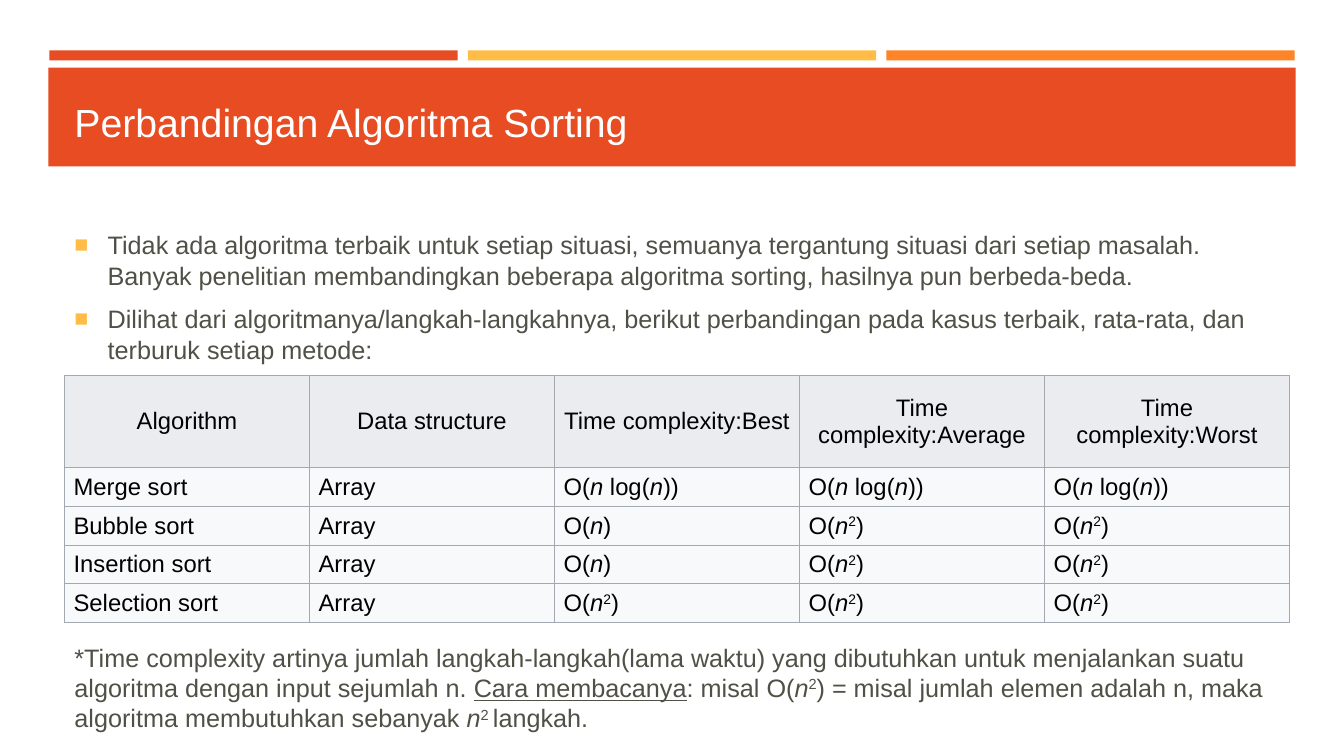
from lxml.etree import SubElement
from pptx import Presentation
from pptx.dml.color import RGBColor
from pptx.enum.shapes import MSO_SHAPE
from pptx.enum.text import MSO_ANCHOR, PP_ALIGN
from pptx.oxml.ns import qn
from pptx.util import Inches, Pt

RED = RGBColor(0xE8, 0x4C, 0x22)
GOLD = RGBColor(0xFF, 0xBD, 0x47)
ORANGE = RGBColor(0xFF, 0x84, 0x27)
WHITE = RGBColor(0xFF, 0xFF, 0xFF)
BLACK = RGBColor(0, 0, 0)
GRAY = RGBColor(0x50, 0x50, 0x46)
HEAD = RGBColor(0xEA, 0xEC, 0xF0)
PALE = RGBColor(0xF8, 0xF9, 0xFA)
EDGE = RGBColor(0xA2, 0xA9, 0xB1)

N = ("n", "i")
LOG = [("O(", ""), N, ("\u00a0log(", ""), N, ("))", "")]
LINE = [("O(", ""), N, (")", "")]
SQUARE = [("O(", ""), N, ("2", "sup"), (")", "")]

TITLE = "Perbandingan Algoritma Sorting"
POINTS = [
    "Tidak ada algoritma terbaik untuk setiap situasi, semuanya tergantung situasi "
    "dari setiap masalah. Banyak penelitian membandingkan beberapa algoritma sorting, "
    "hasilnya pun berbeda-beda.",
    "Dilihat dari algoritmanya/langkah-langkahnya, berikut perbandingan pada kasus "
    "terbaik, rata-rata, dan terburuk setiap metode:",
]
NOTE = [
    ("*Time complexity artinya jumlah langkah-langkah(lama waktu) yang dibutuhkan "
     "untuk menjalankan suatu algoritma dengan input sejumlah n. ", ""),
    ("Cara membacanya", "u"),
    (": misal O(", ""), N, ("2", "sup"),
    (") = misal jumlah elemen adalah n, maka algoritma membutuhkan sebanyak ", ""),
    N, ("2 ", "sup"), ("langkah.", ""),
]
ROWS = [
    ["Algorithm", "Data structure", "Time complexity:Best",
     "Time complexity:Average", "Time complexity:Worst"],
    ["Merge sort", "Array", LOG, LOG, LOG],
    ["Bubble sort", "Array", LINE, SQUARE, SQUARE],
    ["Insertion sort", "Array", LINE, SQUARE, SQUARE],
    ["Selection sort", "Array", SQUARE, SQUARE, SQUARE],
]


def add_bar(slide, left, top, width, height, color):
    """Draw a plain filled bar."""
    bar = slide.shapes.add_shape(
        MSO_SHAPE.RECTANGLE, Inches(left), Inches(top), Inches(width), Inches(height))
    bar.shadow.inherit = False
    bar.fill.solid()
    bar.fill.fore_color.rgb = color
    bar.line.fill.background()


def write(para, text, size, color):
    """Fill a paragraph with a string or a list of styled parts."""
    para.font.name = "Arial"
    para.font.size = Pt(size)
    para.font.color.rgb = color
    parts = [(text, "")] if isinstance(text, str) else text
    for words, style in parts:
        run = para.add_run()
        run.text = words
        if style == "i":
            run.font.italic = True
        elif style == "u":
            run.font.underline = True
        elif style == "sup":
            run.font._element.set("baseline", "30000")


def add_bullet(para):
    """Give a paragraph a hanging gold square."""
    props = para._p.get_or_add_pPr()
    props.set("marL", str(Inches(0.33)))
    props.set("indent", str(-Inches(0.33)))
    tint = SubElement(props, qn("a:buClr"))
    SubElement(tint, qn("a:srgbClr")).set("val", str(GOLD))
    SubElement(props, qn("a:buSzPct")).set("val", "92000")
    SubElement(props, qn("a:buFont")).set("typeface", "Arial")
    SubElement(props, qn("a:buChar")).set("char", "■")


def add_text(slide, top, height, texts, size, color, bullet=False):
    """Add a wrapped text box with one paragraph per text."""
    box = slide.shapes.add_textbox(
        Inches(0.64), Inches(top), Inches(12.06), Inches(height))
    frame = box.text_frame
    frame.word_wrap = True
    for i, text in enumerate(texts):
        para = frame.add_paragraph() if i else frame.paragraphs[0]
        if bullet:
            para.space_before = Pt(3.6)
            para.space_after = Pt(6)
            add_bullet(para)
        write(para, text, size, color)
    return frame


def add_edges(cell):
    """Outline a cell on all four sides."""
    props = cell._tc.get_or_add_tcPr()
    for side in ("a:lnL", "a:lnR", "a:lnT", "a:lnB"):
        line = SubElement(props, qn(side), w=str(Pt(0.75)))
        fill = SubElement(line, qn("a:solidFill"))
        SubElement(fill, qn("a:srgbClr")).set("val", str(EDGE))


def add_grid(slide):
    """Add the table of running times."""
    table = slide.shapes.add_table(
        len(ROWS), len(ROWS[0]), Inches(0.64), Inches(3.72),
        Inches(12.15), Inches(2.4)).table
    table.first_row = False
    table.horz_banding = False
    for col in table.columns:
        col.width = Inches(2.43)
    for r, row in enumerate(ROWS):
        table.rows[r].height = Inches(0.37 if r else 0.92)
        for c, text in enumerate(row):
            cell = table.cell(r, c)
            add_edges(cell)
            cell.fill.solid()
            cell.fill.fore_color.rgb = PALE if r else HEAD
            cell.vertical_anchor = MSO_ANCHOR.MIDDLE
            cell.margin_left = cell.margin_right = Inches(0.09)
            para = cell.text_frame.paragraphs[0]
            para.alignment = PP_ALIGN.LEFT if r else PP_ALIGN.CENTER
            write(para, text, 17, BLACK)


def main():
    """Build and save the slide."""
    deck = Presentation()
    deck.slide_width = Inches(13.33)
    deck.slide_height = Inches(7.5)
    slide = deck.slides.add_slide(deck.slide_layouts[6])
    for i, color in enumerate((RED, GOLD, ORANGE)):
        add_bar(slide, 0.49 + i * 4.15, 0.5, 4.05, 0.1, color)
    add_bar(slide, 0.48, 0.67, 12.37, 0.98, RED)
    title = add_text(slide, 0.77, 0.88, [TITLE], 28, WHITE)
    title.vertical_anchor = MSO_ANCHOR.MIDDLE
    add_text(slide, 2.23, 1.45, POINTS, 18, GRAY, bullet=True)
    add_grid(slide)
    add_text(slide, 6.32, 1.05, [NOTE], 18, GRAY)
    deck.save("out.pptx")


if __name__ == "__main__":
    main()
